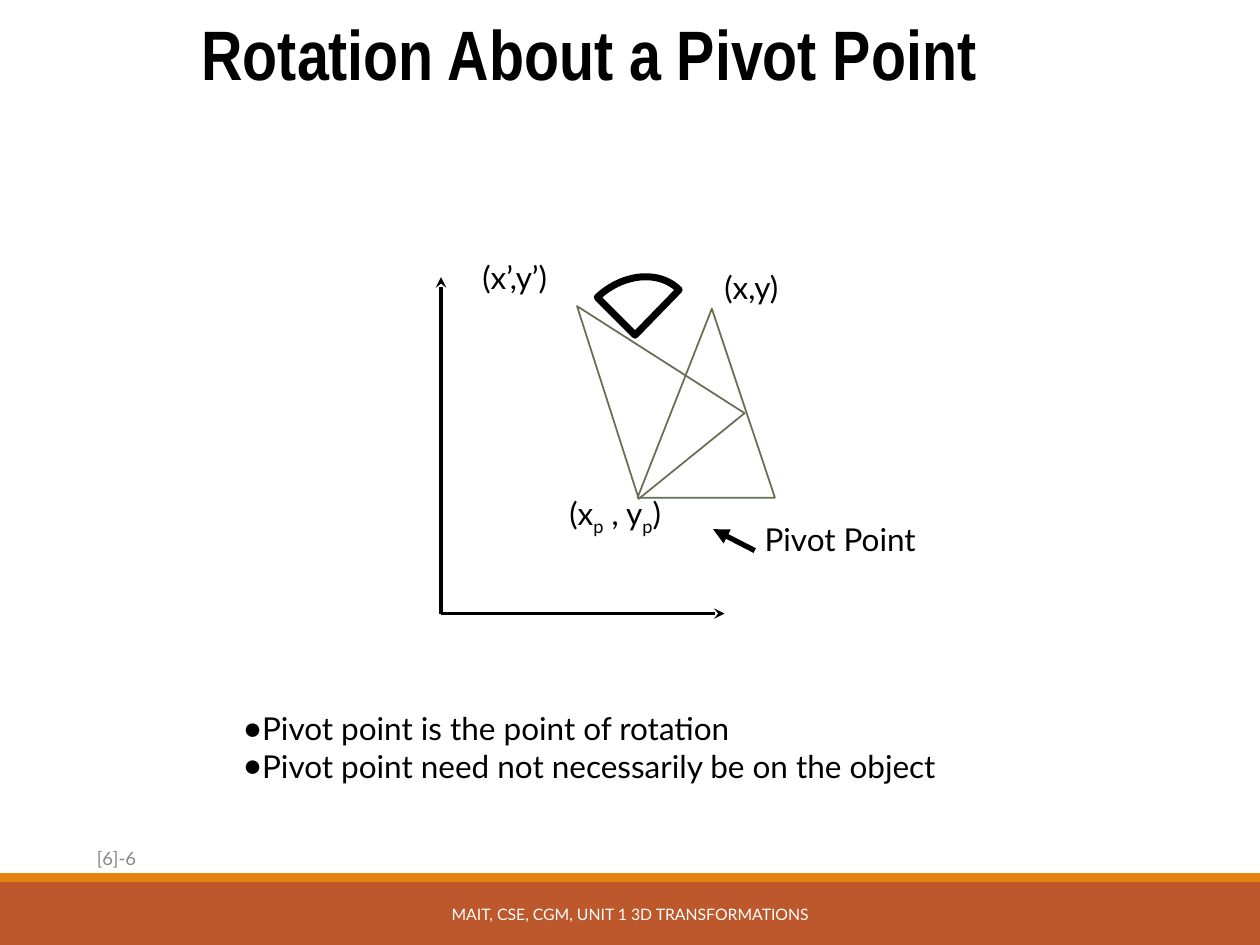
from dataclasses import dataclass

from lxml import etree
from pptx import Presentation
from pptx import util as u
from pptx.dml.color import RGBColor
from pptx.enum import shapes, text
from pptx.oxml import ns

COLORS = {
    "ink": "000000",
    "outline": "637052",
    "band": "BD582C",
    "stripe": "E48312",
    "muted": "888888",
    "white": "FFFFFF",
}
CELL = u.Inches(0.1)
COLUMNS, ROWS = 100, 75
BODY_FONT, TITLE_FONT = "Lato", "Arial Narrow"
Point = tuple[float, float]


@dataclass(frozen=True)
class Area:
    column: float
    row: float
    columns: float
    rows: float


@dataclass(frozen=True)
class Label:
    words: tuple[str, ...]
    area: Area
    size: float = 18
    color: str = "ink"
    middle: bool = False
    centered: bool = False


@dataclass(frozen=True)
class Arrow:
    start: Point
    end: Point
    width: float
    head: str


@dataclass(frozen=True)
class Outline:
    points: list[Point]
    color: str
    width: float


def cells(count: float) -> int:
    return round(count * CELL)


def rgb(name: str) -> RGBColor:
    return RGBColor.from_string(COLORS[name])


def place(shape, area: Area) -> None:
    shape.left, shape.top = cells(area.column), cells(area.row)
    shape.width, shape.height = cells(area.columns), cells(area.rows)


def set_font(font, size: float, color: str = "ink", name: str = BODY_FONT) -> None:
    font.name, font.size = name, u.Pt(size)
    font.color.rgb = rgb(color)


def add_band(page, area: Area, color: str) -> None:
    band = page.shapes.add_shape(shapes.MSO_SHAPE.RECTANGLE, 0, 0, 0, 0)
    place(band, area)
    band.shadow.inherit = False
    band.fill.solid()
    band.fill.fore_color.rgb = rgb(color)
    band.line.fill.background()


def add_label(page, label: Label) -> None:
    box = page.shapes.add_textbox(0, 0, 0, 0)
    place(box, label.area)
    frame = box.text_frame
    frame.word_wrap = True
    if label.middle:
        frame.vertical_anchor = text.MSO_ANCHOR.MIDDLE
    para = frame.paragraphs[0]
    if label.centered:
        para.alignment = text.PP_ALIGN.CENTER
    set_font(para.font, label.size, label.color)
    for index, word in enumerate(label.words):
        span = para.add_run()
        span.text = word
        if index % 2:
            span.font._element.set("baseline", "-25000")


def add_arrow(page, arrow: Arrow) -> None:
    ends = [cells(value) for value in (*arrow.start, *arrow.end)]
    line = page.shapes.add_connector(shapes.MSO_CONNECTOR.STRAIGHT, *ends)
    line.line.color.rgb = rgb("ink")
    line.line.width = u.Pt(arrow.width)
    properties = line._element.spPr
    etree.SubElement(line.line._get_or_add_ln(), ns.qn("a:tailEnd"), type=arrow.head)
    etree.SubElement(properties, ns.qn("a:effectLst"))


def add_outline(page, outline: Outline) -> None:
    first, *rest = [(cells(x), cells(y)) for x, y in outline.points]
    builder = page.shapes.build_freeform(*first)
    builder.add_line_segments(rest, close=True)
    shape = builder.convert_to_shape()
    shape.shadow.inherit = False
    shape.fill.background()
    shape.line.color.rgb = rgb(outline.color)
    shape.line.width = u.Pt(outline.width)


def curve(a: Point, b: Point, c: Point, d: Point, steps: int = 24) -> list[Point]:
    points = []
    for step in range(steps + 1):
        t = step / steps
        weights = ((1 - t) ** 3, 3 * t * (1 - t) ** 2, 3 * t**2 * (1 - t), t**3)
        x, y = (sum(w * v for w, v in zip(weights, axis)) for axis in zip(a, b, c, d))
        points.append((x, y))
    return points


def fill_title(title, words: str) -> None:
    place(title, Area(15, 0, 82.5, 10))
    title.text_frame.text = words
    title.text_frame.vertical_anchor = text.MSO_ANCHOR.MIDDLE
    para = title.text_frame.paragraphs[0]
    para.alignment = text.PP_ALIGN.LEFT
    para.line_spacing = 0.7
    set_font(para.font, 40, name=TITLE_FONT)
    para.font.bold = True


def fill_list(body, items: tuple[str, ...]) -> None:
    place(body, Area(18.3, 55.8, 67.7, 9))
    body.text_frame.text = "\n".join(items)
    for para in body.text_frame.paragraphs:
        properties = para._p.get_or_add_pPr()
        properties.set("marL", "0")
        properties.set("indent", str(-cells(1.2)))
        para.space_before = u.Pt(0)
        bullet_color = etree.SubElement(properties, ns.qn("a:buClr"))
        etree.SubElement(bullet_color, ns.qn("a:srgbClr"), val=COLORS["ink"])
        etree.SubElement(properties, ns.qn("a:buChar"), char="●")
        set_font(para.font, 18)


ORIGIN = (35, 48.7)
ARROWS = (
    Arrow(ORIGIN, (57.5, 48.7), 2, "stealth"),
    Arrow(ORIGIN, (35, 22), 2, "stealth"),
    Arrow((59.9, 43.7), (56.6, 42), 3, "triangle"),
)
ROTATION_ARC = curve((47.4, 23.6), (49.4, 21.7), (52.3, 21.4), (53.9, 23))
OUTLINES = (
    Outline([(50.6, 39.5), (61.5, 39.5), (56.5, 24.5)], "outline", 1),
    Outline([(50.7, 39.6), (59.1, 32.8), (45.8, 24.3)], "outline", 1),
    Outline([*ROTATION_ARC, (50.4, 26.6)], "ink", 4),
)
LABELS = (
    Label(("(x", "p", " , y", "p", ")"), Area(44.2, 38.7, 15.4, 5)),
    Label(("(x,y)",), Area(56.5, 20.8, 8.4, 5)),
    Label(("(x’,y’)",), Area(37.3, 20, 10.6, 5)),
    Label(("Pivot Point",), Area(59.7, 40.8, 16.9, 5)),
    Label(("[6]-6",), Area(6.7, 66.1, 50.6, 4), 10.5, "muted", True),
    Label(("MAIT, CSE, CGM, UNIT 1 3D TRANSFORMATIONS",),
          Area(30.2, 70.6, 39.6, 4), 9, "white", True, True),
)


def main() -> None:
    deck = Presentation()
    deck.slide_width, deck.slide_height = cells(COLUMNS), cells(ROWS)
    page = deck.slides.add_slide(deck.slide_layouts[1])
    fill_title(page.shapes.title, "Rotation About a Pivot Point")
    fill_list(page.placeholders[1], (
        "Pivot point is the point of rotation",
        "Pivot point need not necessarily be on the object",
    ))
    add_band(page, Area(0, 70, COLUMNS, 5), "band")
    add_band(page, Area(0, 69.3, COLUMNS, 0.7), "stripe")
    for arrow in ARROWS:
        add_arrow(page, arrow)
    for outline in OUTLINES:
        add_outline(page, outline)
    for label in LABELS:
        add_label(page, label)
    deck.save("out.pptx")


if __name__ == "__main__":
    main()
